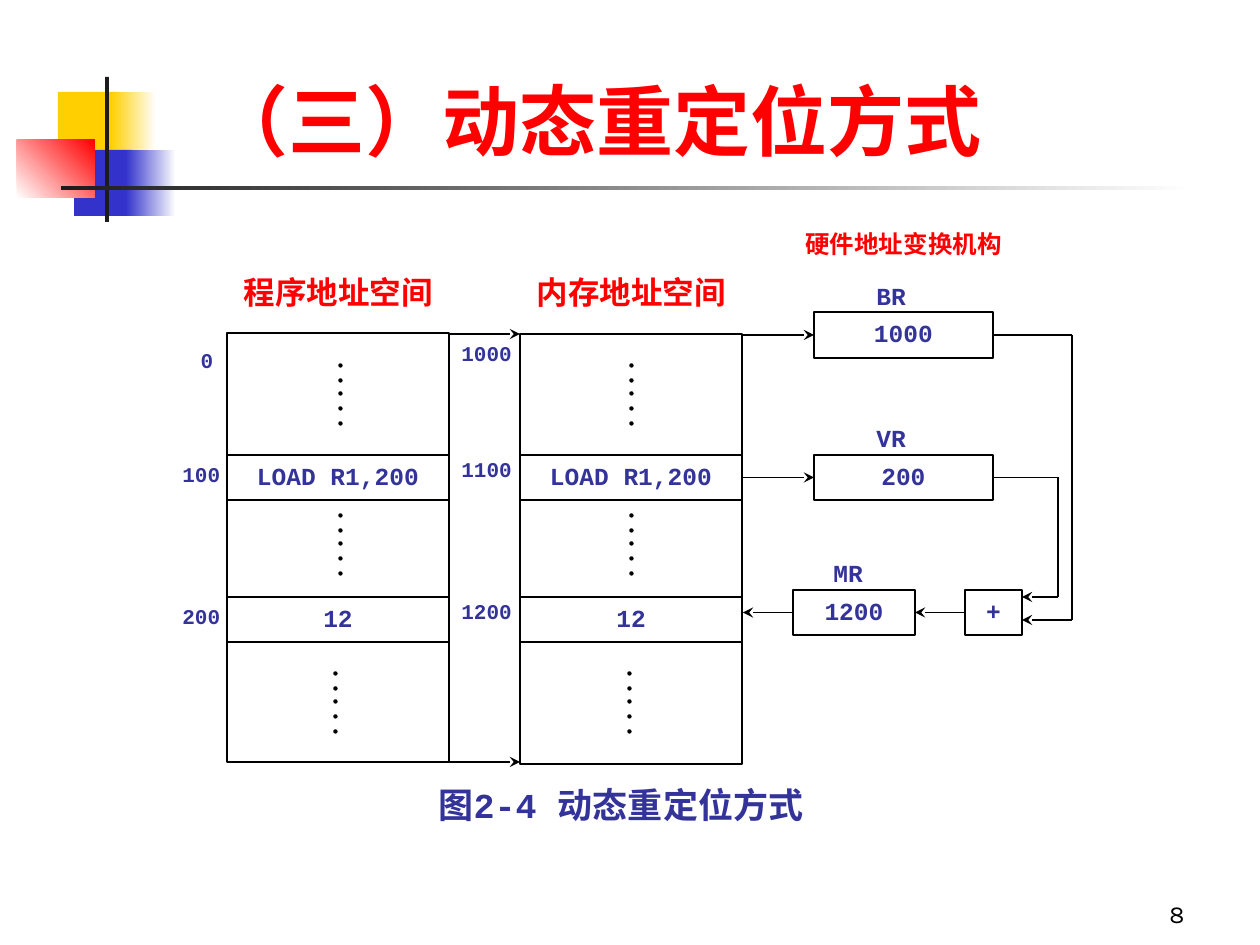
from dataclasses import dataclass

from lxml import etree
from pptx import Presentation
from pptx.dml.color import RGBColor
from pptx.enum.shapes import MSO_CONNECTOR, MSO_SHAPE
from pptx.enum.text import MSO_ANCHOR, MSO_AUTO_SIZE, PP_ALIGN
from pptx.oxml.ns import qn
from pptx.util import Emu, Pt

RECTANGLE, OVAL = MSO_SHAPE.RECTANGLE, MSO_SHAPE.OVAL
STRAIGHT = MSO_CONNECTOR.STRAIGHT
LEFT, CENTER = PP_ALIGN.LEFT, PP_ALIGN.CENTER
RIGHT, JUSTIFY = PP_ALIGN.RIGHT, PP_ALIGN.JUSTIFY
TOP, MIDDLE, BOTTOM = MSO_ANCHOR.TOP, MSO_ANCHOR.MIDDLE, MSO_ANCHOR.BOTTOM
LEFT_SIDE, RIGHT_SIDE = 1, 3
PX_PER_INCH = 126


def px(length):
    return Emu(round(length * 914400 / PX_PER_INCH))


@dataclass(frozen=True)
class Theme:
    red: str = "FF0000"
    ink: str = "333399"
    black: str = "000000"
    white: str = "FFFFFF"
    yellow: str = "FFCF01"
    blue: str = "3333CC"
    dark: str = "1C1C1C"
    title_font: str = "Karla"
    body_font: str = "Courier New"
    title_size: int = 44
    caption_size: int = 20
    heading_size: int = 18
    text_size: int = 14
    address_size: int = 12
    line_width: float = 0.75


class Page:
    def __init__(self, slide, theme):
        self.slide = slide
        self.theme = theme

    def set_text(self, shape, text, size, color, align, font=None, bold=True, anchor=TOP):
        frame = shape.text_frame
        frame.word_wrap = True
        frame.auto_size = MSO_AUTO_SIZE.NONE
        frame.vertical_anchor = anchor
        para = frame.paragraphs[0]
        para.text = text
        para.alignment = align
        para.font.name = font or self.theme.body_font
        para.font.size = Pt(size)
        para.font.bold = bold
        para.font.color.rgb = RGBColor.from_string(color)

    def title(self, text, *place):
        box = self.slide.shapes.title
        box.left, box.top, box.width, box.height = map(px, place)
        self.set_text(box, text, self.theme.title_size, self.theme.red, LEFT,
                      font=self.theme.title_font, anchor=MIDDLE)

    def label(self, text, *place, size, color=None, align=JUSTIFY, **style):
        box = self.slide.shapes.add_textbox(*map(px, place))
        self.set_text(box, text, size, color or self.theme.ink, align, **style)

    def shape(self, kind, place, fill=None, line=None):
        shape = self.slide.shapes.add_shape(kind, *map(px, place))
        shape.shadow.inherit = False
        if fill:
            shape.fill.solid()
            shape.fill.fore_color.rgb = RGBColor.from_string(fill)
        else:
            shape.fill.background()
        if line:
            shape.line.color.rgb = RGBColor.from_string(line)
            shape.line.width = Pt(self.theme.line_width)
        else:
            shape.line.fill.background()
        return shape

    def fade(self, start, end, *place, angle=0):
        """Rectangle with a two-colour gradient; angle runs counter-clockwise."""
        shape = self.shape(RECTANGLE, place)
        shape.fill.gradient()
        shape.fill.gradient_angle = angle
        for stop, color in zip(shape.fill.gradient_stops, (start, end)):
            stop.color.rgb = RGBColor.from_string(color)

    def cell(self, text, *place):
        box = self.shape(RECTANGLE, place, self.theme.white, self.theme.black)
        self.set_text(box, text, self.theme.text_size, self.theme.ink, CENTER)
        return box

    def dots(self, left, top):
        for offset in (0, 15, 28, 43, 58):
            self.shape(OVAL, (left, top + offset, 3, 3), self.theme.black, self.theme.black)

    def route(self, *points, source=None, target=None):
        """Straight lines through the points with an arrowhead at the end, joined to given boxes."""
        last = len(points) - 2
        for index, (start, end) in enumerate(zip(points, points[1:])):
            line = self.slide.shapes.add_connector(STRAIGHT, *map(px, start + end))
            rightward = end[0] > start[0]
            if source and index == 0:
                line.begin_connect(source, RIGHT_SIDE if rightward else LEFT_SIDE)
            if target and index == last:
                line.end_connect(target, LEFT_SIDE if rightward else RIGHT_SIDE)
            line.line.color.rgb = RGBColor.from_string(self.theme.black)
            line.line.width = Pt(self.theme.line_width)
            properties = line._element.spPr
            if index == last:
                outline = properties.find(qn("a:ln"))
                etree.SubElement(outline, qn("a:tailEnd"), type="stealth")
            etree.SubElement(properties, qn("a:effectLst"))


def draw_decoration(page):
    theme = page.theme
    page.shape(RECTANGLE, (58, 92, 60, 66), theme.yellow)
    page.fade(theme.yellow, theme.white, 111, 92, 45, 66)
    page.shape(RECTANGLE, (74, 150, 58, 66), theme.blue)
    page.fade(theme.blue, theme.white, 126, 150, 50, 66)
    page.fade(theme.white, theme.red, 17, 140, 78, 58, angle=45)
    page.shape(RECTANGLE, (105, 77, 4, 145), theme.dark)
    page.fade(theme.dark, theme.white, 61, 186, 1134, 4)


def draw_spaces(page):
    """Draw both address spaces and return the instruction cell in memory."""
    theme = page.theme
    columns = (
        ("程序地址空间", 227, 333, 429, (339, 339, 334)),
        ("内存地址空间", 520, 334, 430, (630, 630, 628)),
    )
    for heading, left, top, height, dot_lefts in columns:
        page.label(heading, left, 267, 222, 67, size=theme.heading_size,
                   color=theme.red, align=CENTER)
        page.shape(RECTANGLE, (left, top, 222, height), line=theme.black)
        instruction = page.cell("LOAD R1,200", left, 455, 222, 45)
        page.cell("12", left, 597, 222, 45)
        for dot_left, dot_top in zip(dot_lefts, (364, 514, 672)):
            page.dots(dot_left, dot_top)

    page.label("0", 164, 341, 86, 45, size=theme.address_size, align=CENTER)
    for text, left, top in (("100", 170, 455), ("200", 170, 597),
                            ("1000", 449, 334), ("1100", 449, 450), ("1200", 449, 592)):
        page.label(text, left, top, 86, 45, size=theme.address_size)
    for y in (334, 762):
        page.route((449, y), (520, y))
    return instruction


def draw_hardware(page, instruction):
    theme = page.theme
    page.label("硬件地址变换机构", 793, 223, 224, 42, size=theme.text_size, color=theme.red)
    base = page.cell("1000", 814, 312, 179, 46)
    offset = page.cell("200", 814, 455, 179, 45)
    result = page.cell("1200", 793, 590, 122, 45)
    adder = page.cell("+", 965, 590, 57, 45)
    for name, left, top in (("BR", 864, 275), ("VR", 864, 417), ("MR", 821, 552)):
        page.label(name, left, top, 86, 45, size=theme.text_size)

    page.route((742, 335), (814, 335), target=base)
    page.route((742, 477.5), (814, 477.5), source=instruction, target=offset)
    page.route((993, 335), (1072, 335), (1072, 620), (1022, 620), source=base)
    page.route((993, 477.5), (1058, 477.5), (1058, 597), (1022, 597), source=offset)
    page.route((965, 612.5), (915, 612.5), source=adder, target=result)
    page.route((793, 612.5), (743, 612.5), source=result)


def main():
    deck = Presentation()
    deck.slide_width, deck.slide_height = px(1260), px(945)
    theme = Theme()
    page = Page(deck.slides.add_slide(deck.slide_layouts[5]), theme)

    draw_decoration(page)
    page.title("（三）动态重定位方式", 199, 73, 906, 93)
    draw_hardware(page, draw_spaces(page))
    page.label("图2-4 动态重定位方式", 413, 777, 416, 45, size=theme.caption_size, align=CENTER)
    page.label("8", 935, 872, 262, 63, size=theme.text_size, color=theme.black,
               align=RIGHT, font=theme.title_font, bold=False, anchor=BOTTOM)
    deck.save("out.pptx")


if __name__ == "__main__":
    main()
